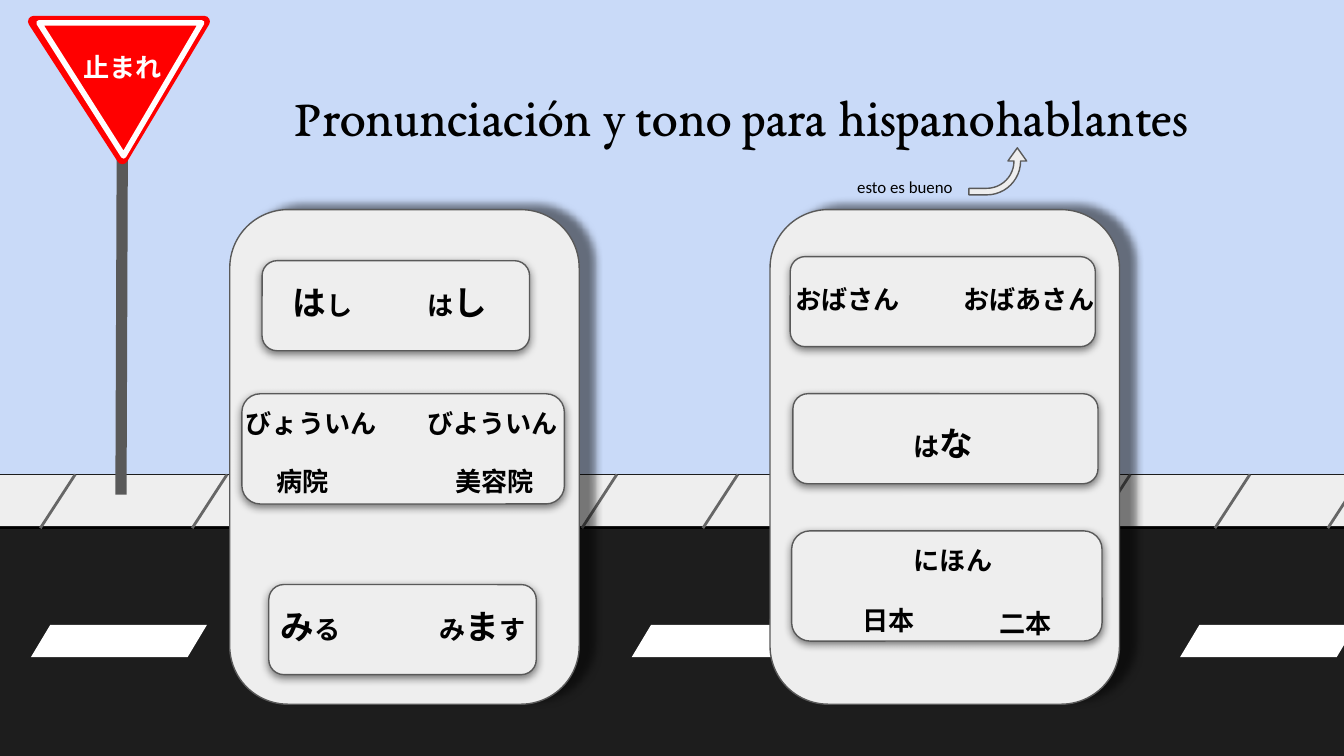
"""Build a street-scene slide on Japanese pronunciation and pitch for Spanish speakers."""
from lxml import etree
from pptx import Presentation
from pptx.dml.color import RGBColor
from pptx.enum.shapes import MSO_CONNECTOR, MSO_SHAPE
from pptx.oxml.ns import qn
from pptx.util import Inches, Pt

RECT = MSO_SHAPE.RECTANGLE
ROUNDED = MSO_SHAPE.ROUNDED_RECTANGLE
TRIANGLE = MSO_SHAPE.ISOSCELES_TRIANGLE
STRIPE = MSO_SHAPE.PARALLELOGRAM
BENT_ARROW = MSO_SHAPE.BENT_ARROW
STRAIGHT = MSO_CONNECTOR.STRAIGHT

COLORS = {
    name: RGBColor.from_string(value)
    for name, value in {
        "sky": "C9DAF8", "panel": "EEEEEE", "road": "1D1D1D", "edge": "595959",
        "joint": "666666", "sign": "FF0000", "white": "FFFFFF", "black": "000000",
    }.items()
}

prs = Presentation()
prs.slide_width, prs.slide_height = Inches(10), Inches(5.625)
COL, ROW = prs.slide_width / 100, prs.slide_height / 56.25
s = prs.slides.add_slide(prs.slide_layouts[6])
s.background.fill.solid()
s.background.fill.fore_color.rgb = COLORS["sky"]


def add_block(kind, x, y, w, h, fill=None, line=None, weight=0.75, shadow=None):
    sp = s.shapes.add_shape(kind, int(x * COL), int(y * ROW), int(w * COL), int(h * ROW))
    sp.shadow.inherit = False
    if fill:
        sp.fill.solid()
        sp.fill.fore_color.rgb = COLORS[fill]
    else:
        sp.fill.background()
    if line:
        sp.line.color.rgb = COLORS[line]
        sp.line.width = Pt(weight)
    else:
        sp.line.fill.background()
    if shadow:
        distance, angle = shadow
        effects = sp._element.spPr.find(qn("a:effectLst"))
        outer = etree.SubElement(
            effects, qn("a:outerShdw"), blurRad=str(Pt(4.5)), dist=str(Pt(distance)),
            dir=str(angle * 60000), algn="bl", rotWithShape="0")
        color = etree.SubElement(outer, qn("a:srgbClr"), val=str(COLORS["black"]))
        etree.SubElement(color, qn("a:alpha"), val="50000")
    return sp


def add_label(x, y, w, h, runs, font="Arial", color="black", bold=True):
    box = s.shapes.add_textbox(int(x * COL), int(y * ROW), int(w * COL), int(h * ROW))
    tf = box.text_frame
    tf.word_wrap = True
    tf.margin_left = tf.margin_right = int(COL)
    tf.margin_top = tf.margin_bottom = int(ROW)
    for text, size in runs:
        r = tf.paragraphs[0].add_run()
        r.text = text
        r.font.name, r.font.size, r.font.bold = font, Pt(size), bold
        r.font.color.rgb = COLORS[color]


SIDEWALK_TOP, ROAD_TOP = 35.3, 39.3
add_block(RECT, -0.2, SIDEWALK_TOP, 101.9, 3.9, "panel", "road")
add_block(RECT, -0.5, ROAD_TOP, 101.9, 17, "road", "black")

pole = (9.1, 11.1, 9, 36.8, "edge", 6)
joints = [(x, ROAD_TOP, x + 2.6, SIDEWALK_TOP, "joint", 1.5)
          for x in (3, 14.3, 43.3, 52.3, 81.5, 90.4, 98.8)]
for x1, y1, x2, y2, color, weight in [pole, *joints]:
    c = s.shapes.add_connector(
        STRAIGHT, int(x1 * COL), int(y1 * ROW), int(x2 * COL), int(y2 * ROW))
    c.line.color.rgb = COLORS[color]
    c.line.width = Pt(weight)
    etree.SubElement(c._element.spPr, qn("a:effectLst"))

for x in (2.3, 47, 87.8):
    add_block(STRIPE, x, 46.5, 13.1, 2.4, "white").adjustments[0] = 0.6

for x, y, w, h, fill, line, weight in (
    (2.5, 1.6, 12.7, 10.2, "sign", "sign", 6),
    (2.9, 1.7, 12.1, 9.9, None, "white", 3),
):
    sign = add_block(TRIANGLE, x, y, w, h, fill, line, weight)
    sign.rotation = 180
    sign.adjustments[0] = 0.48
add_label(5.2, 2.8, 18, 7.8, [("止まれ", 14)], color="white")

add_label(20.9, 5.3, 70, 6.3, [("Pronunciación y tono para hispanohablantes", 28)],
          font="EB Garamond", bold=False)
add_label(62.8, 12.4, 10.4, 3.2, [("esto es bueno", 9)], font="Calibri", bold=False)
arrow = add_block(BENT_ARROW, 72.5, 10.6, 3.5, 4.3, "panel", "edge")
arrow.rotation = 90
arrow._element.spPr.find(qn("a:xfrm")).set("flipH", "1")
for i, value in enumerate((0.14, 0.2, 0.28, 0.73)):
    arrow.adjustments[i] = value

for x in (17.1, 57.3):
    add_block(ROUNDED, x, 15.6, 26, 36.8, "panel", "edge", shadow=(8.2, 341))

for x, y, w, h in (
    (19.5, 19.4, 19.9, 6.7), (18, 29.3, 24, 8.2), (20, 43.5, 19.9, 6.7),
    (58.8, 19.1, 22.7, 6.7), (59, 29.3, 22.7, 6.7), (58.9, 39.5, 23.1, 8.2),
):
    add_block(ROUNDED, x, y, w, h, "panel", "edge", shadow=(1.5, 90))

for x, y, w, runs in (
    (20.8, 20, 7.4, [("は", 18), ("し", 14)]),
    (30.8, 20, 7.4, [("は", 14), ("し", 18)]),
    (17.3, 29.3, 12.1, [("びょういん", 14)]),
    (30.8, 29.3, 12.1, [("びよういん", 14)]),
    (19.6, 33.6, 6, [("病院", 14)]),
    (32.9, 33.6, 7.9, [("美容院", 14)]),
    (19.9, 44.1, 6.9, [("み", 18), ("る", 14)]),
    (31.7, 44.1, 8.5, [("み", 14), ("ま", 18), ("す", 14)]),
    (58.2, 20.1, 10.4, [("おばさん", 14)]),
    (70.7, 20.1, 12.7, [("おばあさん", 14)]),
    (67, 30.5, 6.9, [("は", 14), ("な", 18)]),
    (67, 39.5, 7.9, [("にほん", 14)]),
    (63.2, 44, 6, [("日本", 14)]),
    (73.4, 44.2, 6.4, [("二本", 14)]),
):
    add_label(x, y, w, 3.9, runs)

prs.save("out.pptx")
